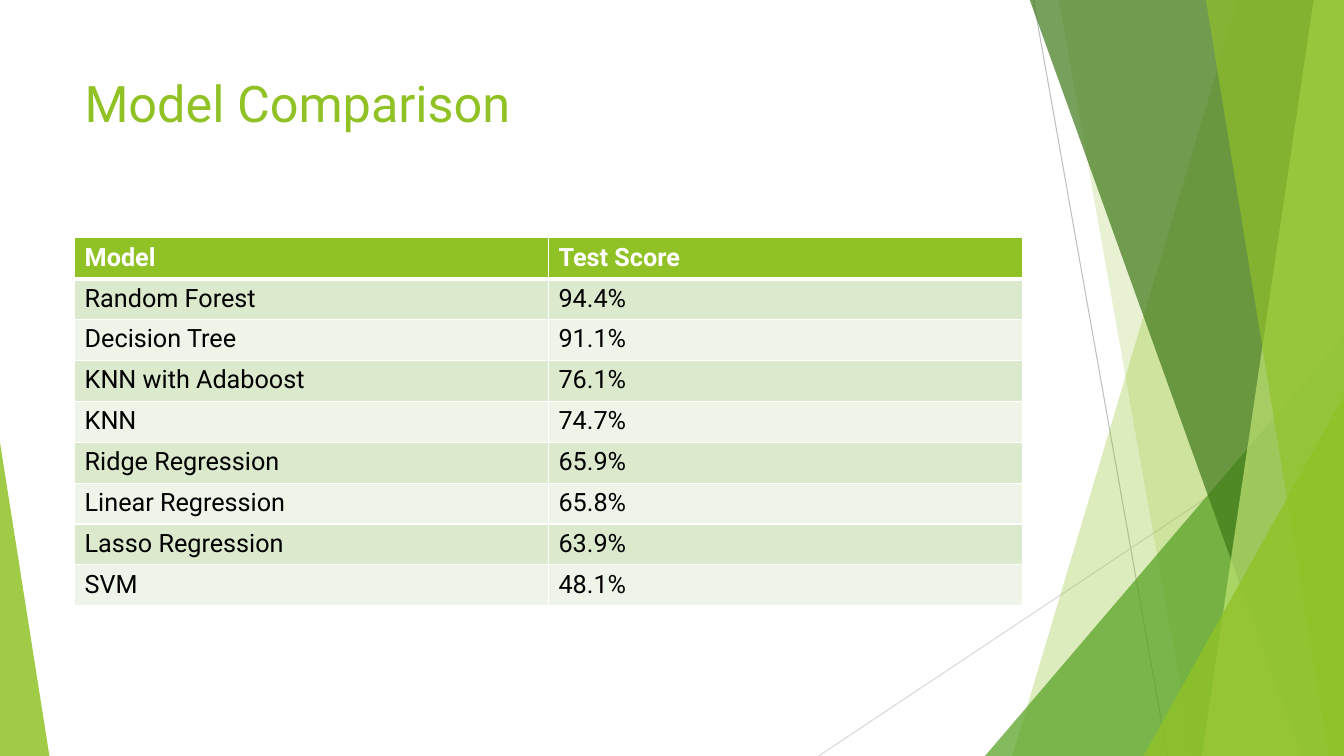
from dataclasses import dataclass

from lxml.etree import SubElement
from pptx import Presentation
from pptx.dml.color import RGBColor
from pptx.enum.shapes import MSO_CONNECTOR, MSO_SHAPE
from pptx.oxml.ns import qn
from pptx.util import Inches, Pt

FONT = "Roboto"
COLORS = {
    "lime": "90C226",
    "green": "54A021",
    "forest": "3F7819",
    "pale": "C0E474",
    "band_dark": "DBE9CD",
    "band_light": "EEF4E8",
    "white": "FFFFFF",
    "black": "000000",
    "grey": "BFBFBF",
    "light_grey": "D9D9D9",
}
SLIDE_WIDTH, SLIDE_HEIGHT = 13.33, 7.5
FACET_TOP = -0.01
CONTENT_LEFT, CONTENT_WIDTH = 0.74, 9.4


@dataclass
class Ray:
    start: tuple[float, float]
    end: tuple[float, float]
    color: str


@dataclass
class Facet:
    """Panel reaching the right slide edge, with a slanted left side."""
    top_x: float
    bottom_x: float
    color: str
    opacity: int


@dataclass
class Wedge:
    """Right triangle standing on the bottom slide edge."""
    left: float
    top: float
    width: float
    apex: float
    color: str
    opacity: int


RAYS = [
    Ray((10.25, 0), (11.58, SLIDE_HEIGHT), "grey"),
    Ray((SLIDE_WIDTH, 4.03), (8.12, SLIDE_HEIGHT), "light_grey"),
]
PANELS = [
    Facet(12.28, 10.04, "lime", 30),
    Facet(10.5, 11.83, "lime", 20),
    Wedge(9.77, 3.33, 3.56, 1, "green", 72),
    Facet(10.21, 12.91, "forest", 70),
    Facet(13.03, 11.92, "pale", 70),
    Facet(11.96, 13.18, "lime", 65),
    Wedge(11.34, 3.93, 1.99, 1, "lime", 80),
    Wedge(0, 4.39, 0.49, 0, "lime", 85),
]
SCORES = [
    ("Model", "Test Score"),
    ("Random Forest", "94.4%"),
    ("Decision Tree", "91.1%"),
    ("KNN with Adaboost", "76.1%"),
    ("KNN", "74.7%"),
    ("Ridge Regression", "65.9%"),
    ("Linear Regression", "65.8%"),
    ("Lasso Regression", "63.9%"),
    ("SVM", "48.1%"),
]


def rgb(name: str) -> RGBColor:
    return RGBColor.from_string(COLORS[name])


def draw_ray(slide, ray: Ray) -> None:
    points = [Inches(value) for value in (*ray.start, *ray.end)]
    connector = slide.shapes.add_connector(MSO_CONNECTOR.STRAIGHT, *points)
    connector.line.color.rgb = rgb(ray.color)
    connector.line.width = Pt(0.75)
    SubElement(connector.element.spPr, qn("a:effectLst"))


def draw_panel(slide, panel: Facet | Wedge) -> None:
    if isinstance(panel, Facet):
        top, bottom, right = Inches(FACET_TOP), Inches(SLIDE_HEIGHT), Inches(SLIDE_WIDTH)
        top_left = (Inches(panel.top_x), top)
        builder = slide.shapes.build_freeform(*top_left)
        builder.add_line_segments(
            [(right, top), (right, bottom), (Inches(panel.bottom_x), bottom)], close=True)
        shape = builder.convert_to_shape()
    else:
        shape = slide.shapes.add_shape(
            MSO_SHAPE.ISOSCELES_TRIANGLE, Inches(panel.left), Inches(panel.top),
            Inches(panel.width), Inches(SLIDE_HEIGHT - panel.top))
        shape.adjustments[0] = panel.apex
    shape.shadow.inherit = False
    shape.line.fill.background()
    shape.fill.solid()
    shape.fill.fore_color.rgb = rgb(panel.color)
    color = shape.element.spPr.find(qn("a:solidFill")).find(qn("a:srgbClr"))
    SubElement(color, qn("a:alpha"), val=str(panel.opacity * 1000))


def style_text(paragraph, size: float, color: str, bold: bool = False) -> None:
    font = paragraph.font
    font.name, font.size, font.bold = FONT, Pt(size), bold
    font.color.rgb = rgb(color)


def draw_title(slide, text: str) -> None:
    box = slide.shapes.add_textbox(
        Inches(CONTENT_LEFT), Inches(0.67), Inches(CONTENT_WIDTH), Inches(1.44))
    box.text_frame.word_wrap = True
    paragraph = box.text_frame.paragraphs[0]
    paragraph.text = text
    style_text(paragraph, 36, "lime")


def set_borders(cell, widths: dict[str, float]) -> None:
    properties = cell._tc.get_or_add_tcPr()
    for side, width in widths.items():
        line = SubElement(properties, qn(f"a:ln{side}"), w=str(Pt(width)))
        fill = SubElement(line, qn("a:solidFill"))
        SubElement(fill, qn("a:srgbClr"), val=COLORS["white"])


def draw_table(slide, rows: list[tuple[str, str]]) -> None:
    height = Inches(3.65)
    table = slide.shapes.add_table(
        len(rows), len(rows[0]), Inches(CONTENT_LEFT), Inches(2.36),
        Inches(CONTENT_WIDTH), height).table
    for row_index, values in enumerate(rows):
        table.rows[row_index].height = height // len(rows)
        header = row_index == 0
        band = "lime" if header else "band_dark" if row_index % 2 else "band_light"
        borders = {"L": 1, "R": 1, "T": 3 if row_index == 1 else 1, "B": 3 if header else 1}
        for column_index, value in enumerate(values):
            cell = table.cell(row_index, column_index)
            set_borders(cell, borders)
            cell.fill.solid()
            cell.fill.fore_color.rgb = rgb(band)
            cell.text = value
            style_text(cell.text_frame.paragraphs[0], 18,
                       "white" if header else "black", header)


def main() -> None:
    presentation = Presentation()
    presentation.slide_width = Inches(SLIDE_WIDTH)
    presentation.slide_height = Inches(SLIDE_HEIGHT)
    slide = presentation.slides.add_slide(presentation.slide_layouts[6])

    # Faceted background
    for ray in RAYS:
        draw_ray(slide, ray)
    for panel in PANELS:
        draw_panel(slide, panel)

    # Title and scores
    draw_title(slide, "Model Comparison")
    draw_table(slide, SCORES)

    presentation.save("out.pptx")


if __name__ == "__main__":
    main()
